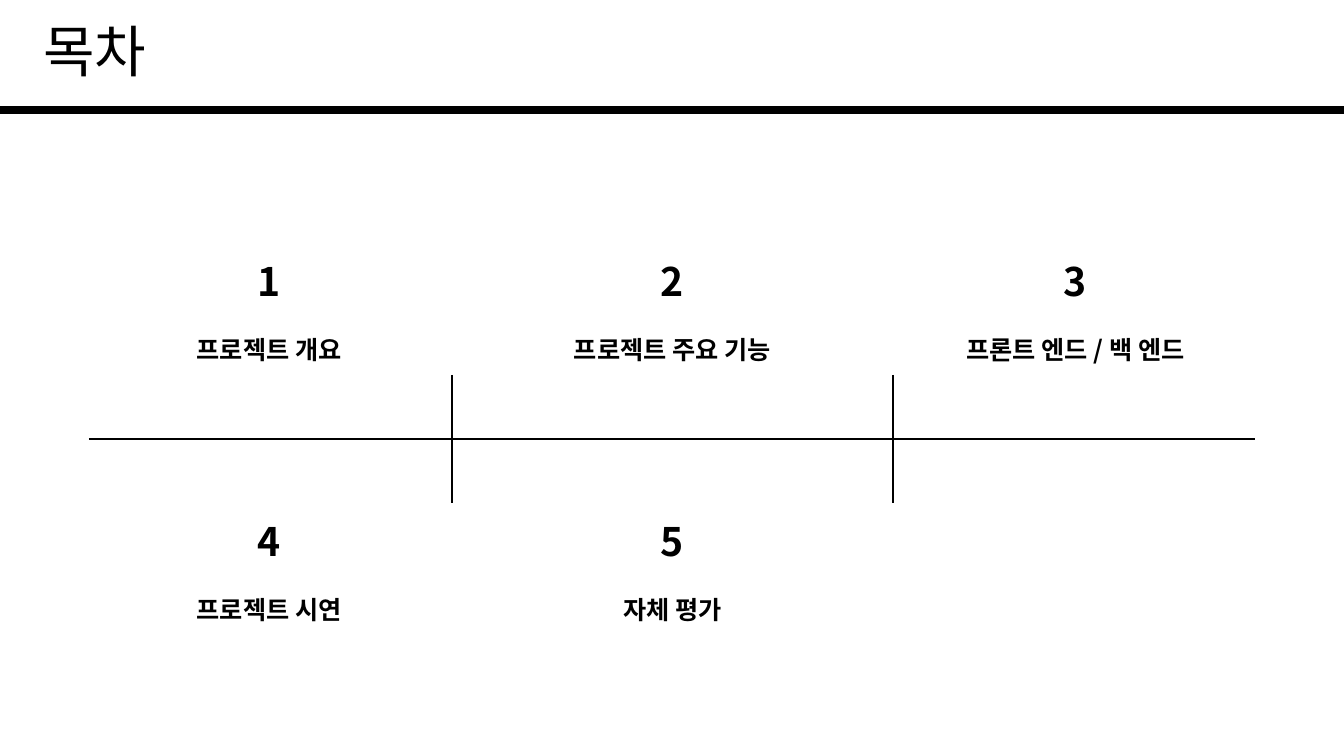
from pptx import Presentation
from pptx.dml.color import RGBColor as RGB
from pptx.enum.shapes import MSO_CONNECTOR as Kind
from pptx.enum.text import PP_ALIGN as Align
from pptx.oxml.ns import qn
from pptx.util import Cm, Pt
from lxml.etree import SubElement as Sub

FONT = "Noto Sans CJK KR"
BLACK = "000000"
TOPICS = ["프로젝트 개요", "프로젝트 주요 기능", "프론트 엔드 / 백 엔드",
          "프로젝트 시연", "자체 평가"]
LEFT, TOP = 1.22, 6.35
STEP, DROP = 10.16, 6.55
WIDTH, HEIGHT = 11.13, 3


def color(code):
    return RGB.from_string(code)


def add_line(slide, start, end, width):
    line = slide.shapes.add_connector(
        Kind.STRAIGHT, *(Cm(n) for n in start + end))
    line.line.color.rgb = color(BLACK)
    line.line.width = Pt(width)
    Sub(line._element.spPr, qn("a:effectLst"))


def add_frame(slide, left, top, width, height):
    box = slide.shapes.add_textbox(Cm(left), Cm(top), Cm(width), Cm(height))
    box.text_frame.word_wrap = True
    return box.text_frame


def write(para, text, size, **style):
    run = para.add_run()
    run.text = text
    style = {"name": FONT, "size": Pt(size)} | style
    for key, value in style.items():
        setattr(run.font, key, value)
    run.font.color.rgb = color(BLACK)
    # East Asian text takes its typeface from a:ea
    Sub(run.font._element, qn("a:ea"), typeface=FONT)


def add_topic(slide, index, text):
    row, col = divmod(index, 3)
    frame = add_frame(slide, LEFT + col * STEP, TOP + row * DROP,
                      WIDTH, HEIGHT)
    head, label = frame.paragraphs[0], frame.add_paragraph()
    head.alignment = label.alignment = Align.CENTER
    label.space_before = Pt(21.6)
    write(head, str(index + 1), 28, bold=True)
    write(label, text, 18, bold=True)


def main():
    deck = Presentation()
    deck.slide_width, deck.slide_height = Cm(33.87), Cm(19.05)
    slide = deck.slides.add_slide(deck.slide_layouts[6])

    add_line(slide, (0, 2.77), (33.87, 2.77), 6)
    title = add_frame(slide, 0.84, 0.3, 12.78, 1.96)
    write(title.paragraphs[0], "목차", 40)

    add_line(slide, (2.24, 11.07), (31.62, 11.07), 1.5)
    for x in (11.38, 22.5):
        add_line(slide, (x, 9.45), (x, 12.67), 1.5)
    for index, text in enumerate(TOPICS):
        add_topic(slide, index, text)

    deck.save("out.pptx")


if __name__ == "__main__":
    main()
